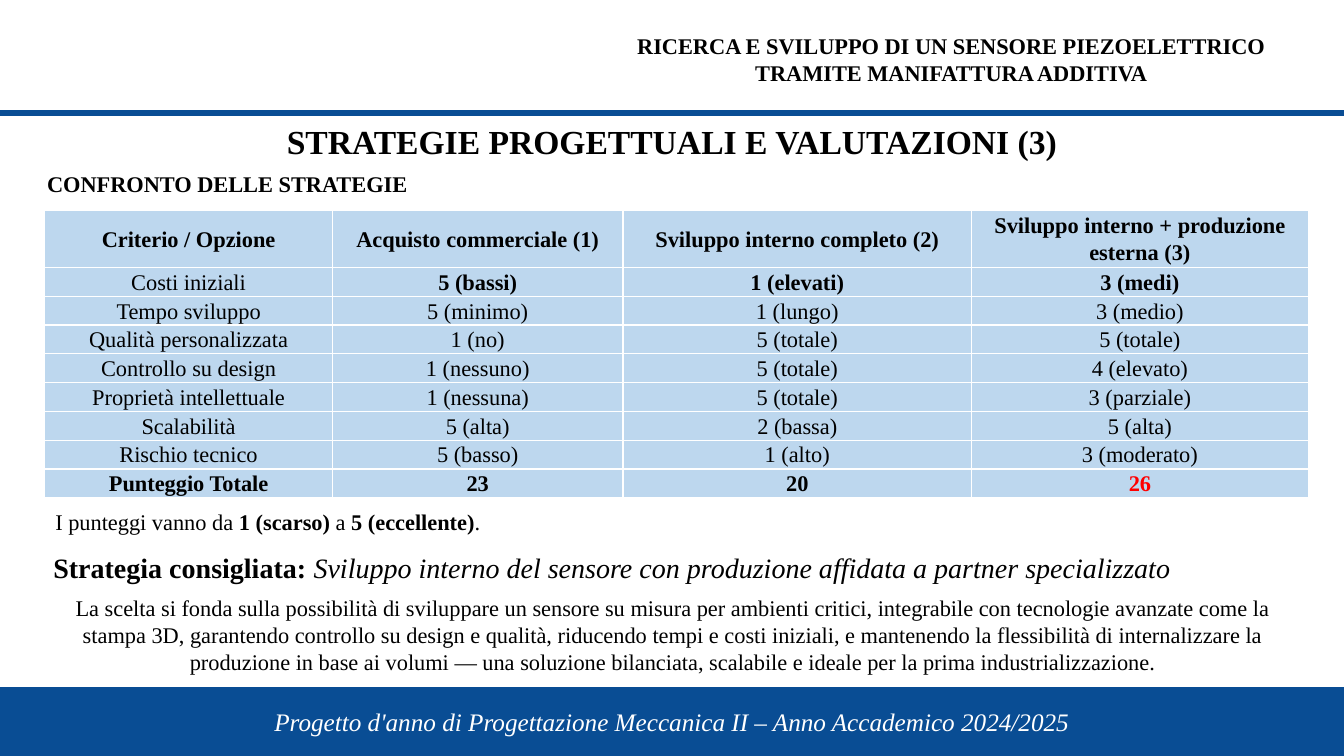
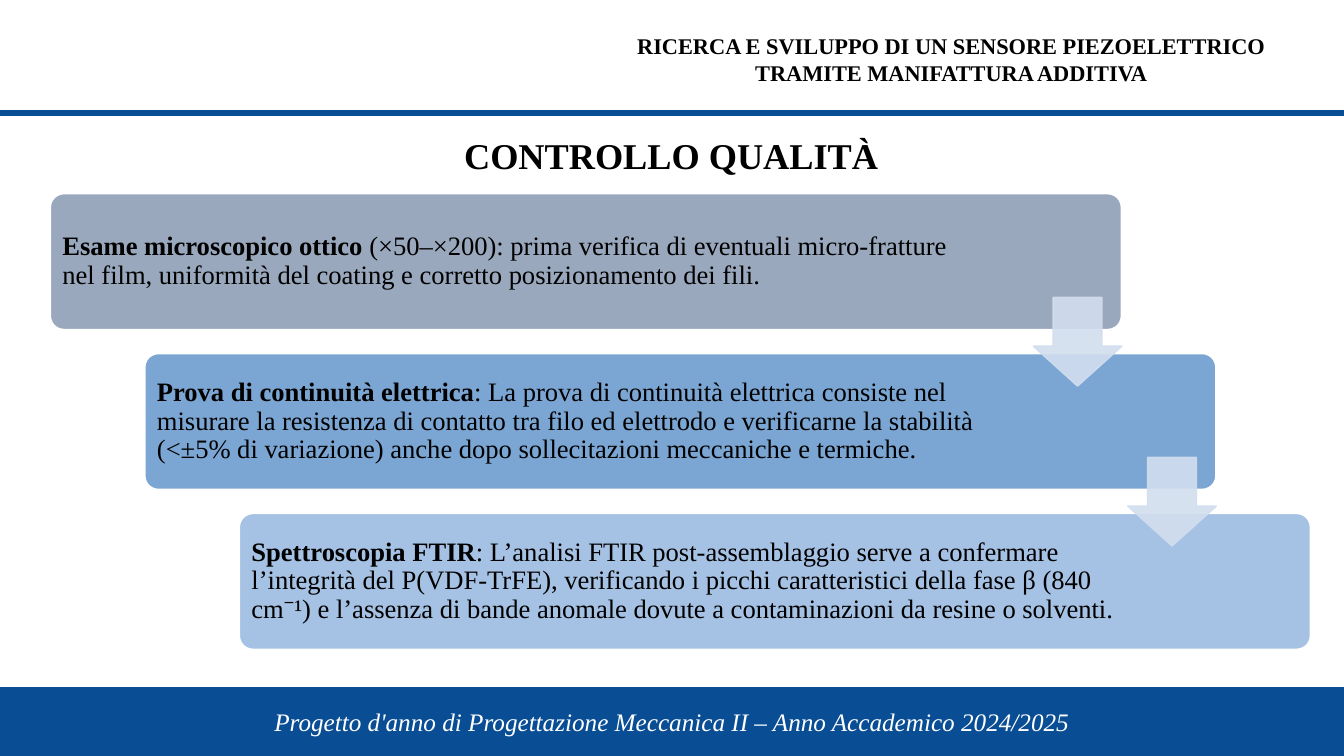
from lxml import etree
from pptx import Presentation
from pptx.dml.color import RGBColor
from pptx.enum.shapes import MSO_CONNECTOR as Connector, MSO_SHAPE as Shape
from pptx.enum.text import MSO_ANCHOR as Anchor, MSO_AUTO_SIZE as AutoSize, PP_ALIGN as Align
from pptx.oxml import parse_xml
from pptx.oxml.ns import nsdecls, qn
from pptx.util import Pt

# Shared style
WIDTH, HEIGHT = 960, 540
FONT = "Times New Roman"
BLUE, WHITE, BLACK, RED = "094D94", "FFFFFF", "000000", "FF0000"
CELL_BLUE, ARROW_BLUE = "BDD7EE", "D2DEEF"
HEADER = "RICERCA E SVILUPPO DI UN SENSORE PIEZOELETTRICO TRAMITE MANIFATTURA ADDITIVA"
FOOTER = "Progetto d'anno di Progettazione Meccanica II – Anno Accademico 2024/2025"

# Slide content
SCORES = [
    ("Criterio / Opzione", "Acquisto commerciale (1)", "Sviluppo interno completo (2)",
     "Sviluppo interno + produzione esterna (3)"),
    ("Costi iniziali", "5 (bassi)", "1 (elevati)", "3 (medi)"),
    ("Tempo sviluppo", "5 (minimo)", "1 (lungo)", "3 (medio)"),
    ("Qualità personalizzata", "1 (no)", "5 (totale)", "5 (totale)"),
    ("Controllo su design", "1 (nessuno)", "5 (totale)", "4 (elevato)"),
    ("Proprietà intellettuale", "1 (nessuna)", "5 (totale)", "3 (parziale)"),
    ("Scalabilità", "5 (alta)", "2 (bassa)", "5 (alta)"),
    ("Rischio tecnico", "5 (basso)", "1 (alto)", "3 (moderato)"),
    ("Punteggio Totale", "23", "20", "26"),
]
RATIONALE = (
    "La scelta si fonda sulla possibilità di sviluppare un sensore su misura per ambienti critici, "
    "integrabile con tecnologie avanzate come la stampa 3D, garantendo controllo su design e qualità, "
    "riducendo tempi e costi iniziali, e mantenendo la flessibilità di internalizzare la produzione "
    "in base ai volumi — una soluzione bilanciata, scalabile e ideale per la prima industrializzazione."
)
# Fill, right inset, bold lead, remaining text
CHECKS = [
    ("99A8BD", 106, "Esame microscopico ottico",
     " (×50–×200): prima verifica di eventuali micro-fratture nel film, uniformità del coating "
     "e corretto posizionamento dei fili."),
    ("7BA6D3", 137, "Prova di continuità elettrica",
     ": La prova di continuità elettrica consiste nel misurare la resistenza di contatto tra filo ed "
     "elettrodo e verificarne la stabilità (<±5% di variazione) anche dopo sollecitazioni meccaniche "
     "e termiche."),
    ("A5C1E3", 137, "Spettroscopia FTIR",
     ": L’analisi FTIR post-assemblaggio serve a confermare l’integrità del P(VDF-TrFE), verificando "
     "i picchi caratteristici della fase β (840 cm⁻¹) e l’assenza di bande anomale dovute a "
     "contaminazioni da resine o solventi."),
]


def color(value):
    return RGBColor.from_string(value)


def box(left, top, width, height):
    return [Pt(length) for length in (left, top, width, height)]


def write(frame, *runs, size=16, fill=BLACK, bold=False, italic=False,
          align=Align.LEFT, spacing=None):
    """Fill one paragraph; a run is a string or a (string, overrides) pair."""
    paragraph = frame.paragraphs[0]
    paragraph.alignment = align
    if spacing:
        paragraph.line_spacing = spacing
    for item in runs:
        content, changes = (item, {}) if isinstance(item, str) else item
        run = paragraph.add_run()
        run.text = content
        run.font.name = FONT
        run.font.size = Pt(size)
        run.font.color.rgb = color(fill)
        run.font.bold = changes.get("bold", bold)
        run.font.italic = changes.get("italic", italic)


def add_text(slide, area, *runs, **style):
    frame = slide.shapes.add_textbox(*box(*area)).text_frame
    frame.word_wrap = True
    write(frame, *runs, **style)


def add_shape(slide, kind, area, fill, line):
    shape = slide.shapes.add_shape(kind, *box(*area))
    shape.shadow.inherit = False
    shape.fill.solid()
    shape.fill.fore_color.rgb = color(fill)
    shape.line.color.rgb = color(line)
    shape.line.width = Pt(1)
    return shape


def add_rule(slide, y):
    rule = slide.shapes.add_connector(Connector.STRAIGHT, Pt(0), Pt(y), Pt(WIDTH), Pt(y))
    rule.line.color.rgb = color(BLUE)
    rule.line.width = Pt(4)
    etree.SubElement(rule._element.spPr, qn("a:effectLst"))


def add_slide(presentation, title, title_area, title_size):
    """Add a slide with its title, header, rule and footer band."""
    slide = presentation.slides.add_slide(presentation.slide_layouts[5])
    add_rule(slide, 80.6)
    band = add_shape(slide, Shape.RECTANGLE, (0, 491, WIDTH, 49), BLUE, BLUE)
    write(band.text_frame, FOOTER, size=18, fill=WHITE, italic=True, align=Align.CENTER)
    add_text(slide, (422.5, 19.4, 514, 46), HEADER, bold=True, align=Align.CENTER)

    heading = slide.shapes.title
    heading.left, heading.top, heading.width, heading.height = box(*title_area)
    frame = heading.text_frame
    frame.auto_size = AutoSize.NONE
    frame.vertical_anchor = Anchor.MIDDLE
    write(frame, title, size=title_size, bold=True, align=Align.CENTER)
    return slide


def format_cell(cell):
    cell.margin_left = cell.margin_right = Pt(5)
    cell.margin_top = cell.margin_bottom = Pt(0)
    cell.vertical_anchor = Anchor.MIDDLE
    properties = cell._tc.get_or_add_tcPr()
    for side in ("lnL", "lnR", "lnT", "lnB"):
        properties.append(parse_xml(
            f'<a:{side} {nsdecls("a")} w="{Pt(1)}"><a:solidFill>'
            f'<a:srgbClr val="{WHITE}"/></a:solidFill></a:{side}>'))
    cell.fill.solid()
    cell.fill.fore_color.rgb = color(CELL_BLUE)


def add_score_table(slide, left, top, widths, header_height, row_height):
    last = len(SCORES) - 1
    area = (left, top, sum(widths), header_height + last * row_height)
    table = slide.shapes.add_table(len(SCORES), len(widths), *box(*area)).table
    table.first_row = table.horz_banding = False
    for column, width in zip(table.columns, widths):
        column.width = Pt(width)
    for row_index, values in enumerate(SCORES):
        table.rows[row_index].height = Pt(row_height if row_index else header_height)
        for column_index, value in enumerate(values):
            cell = table.cell(row_index, column_index)
            format_cell(cell)
            bold = row_index in (0, last) or (row_index == 1 and column_index > 0)
            best = row_index == last and column_index == len(widths) - 1
            write(cell.text_frame, value, bold=bold, fill=RED if best else BLACK,
                  align=Align.CENTER, spacing=1.07)


def add_check_card(slide, area, fill, right_inset, lead, detail):
    card = add_shape(slide, Shape.ROUNDED_RECTANGLE, area, fill, WHITE)
    card.adjustments[0] = 0.1
    frame = card.text_frame
    frame.word_wrap = True
    frame.margin_left = Pt(5.8)
    frame.margin_right = Pt(right_inset)
    frame.vertical_anchor = Anchor.MIDDLE
    write(frame, (lead, {"bold": True}), detail, size=19, spacing=0.9)


def add_down_arrow(slide, left, top, side):
    arrow = add_shape(slide, Shape.DOWN_ARROW, (left, top, side, side), ARROW_BLUE, ARROW_BLUE)
    arrow.adjustments[0], arrow.adjustments[1] = 0.55, 0.45
    for tint in arrow._element.spPr.iter(qn("a:srgbClr")):
        etree.SubElement(tint, qn("a:alpha"), val="90000")


def build_strategies(presentation):
    slide = add_slide(presentation, "STRATEGIE PROGETTUALI E VALUTAZIONI (3)",
                      (180, 82, 600, 37), 24)
    add_text(slide, (26.6, 118, 274, 27), "CONFRONTO DELLE STRATEGIE", bold=True)
    add_score_table(slide, 32, 150, (205.5, 207.5, 249, 240.5), 40.6, 20.55)
    strong = {"bold": True}
    add_text(slide, (32.4, 359.5, 325, 27), "I punteggi vanno da ", ("1 (scarso)", strong),
             " a ", ("5 (eccellente)", strong), ".")
    add_text(slide, (31, 389.5, 897, 32), ("Strategia consigliata: ", strong),
             ("Sviluppo interno del sensore con produzione affidata a partner specializzato",
              {"italic": True}), size=20)
    add_text(slide, (26.6, 421, 908, 66), RATIONALE, align=Align.CENTER)


def build_quality_control(presentation):
    slide = add_slide(presentation, "CONTROLLO QUALITÀ", (316, 86, 327, 50), 25.9)
    left, top, step_x, step_y = 36, 138.4, 67.5, 114.2
    for index, check in enumerate(CHECKS):
        area = (left + index * step_x, top + index * step_y, 765, 97)
        add_check_card(slide, area, *check)
    for index in range(len(CHECKS) - 1):
        add_down_arrow(slide, left + 702 + index * step_x, top + 74 + index * step_y, 63.4)


def main():
    presentation = Presentation()
    presentation.slide_width, presentation.slide_height = Pt(WIDTH), Pt(HEIGHT)
    build_strategies(presentation)
    build_quality_control(presentation)
    presentation.save("out.pptx")


if __name__ == "__main__":
    main()
